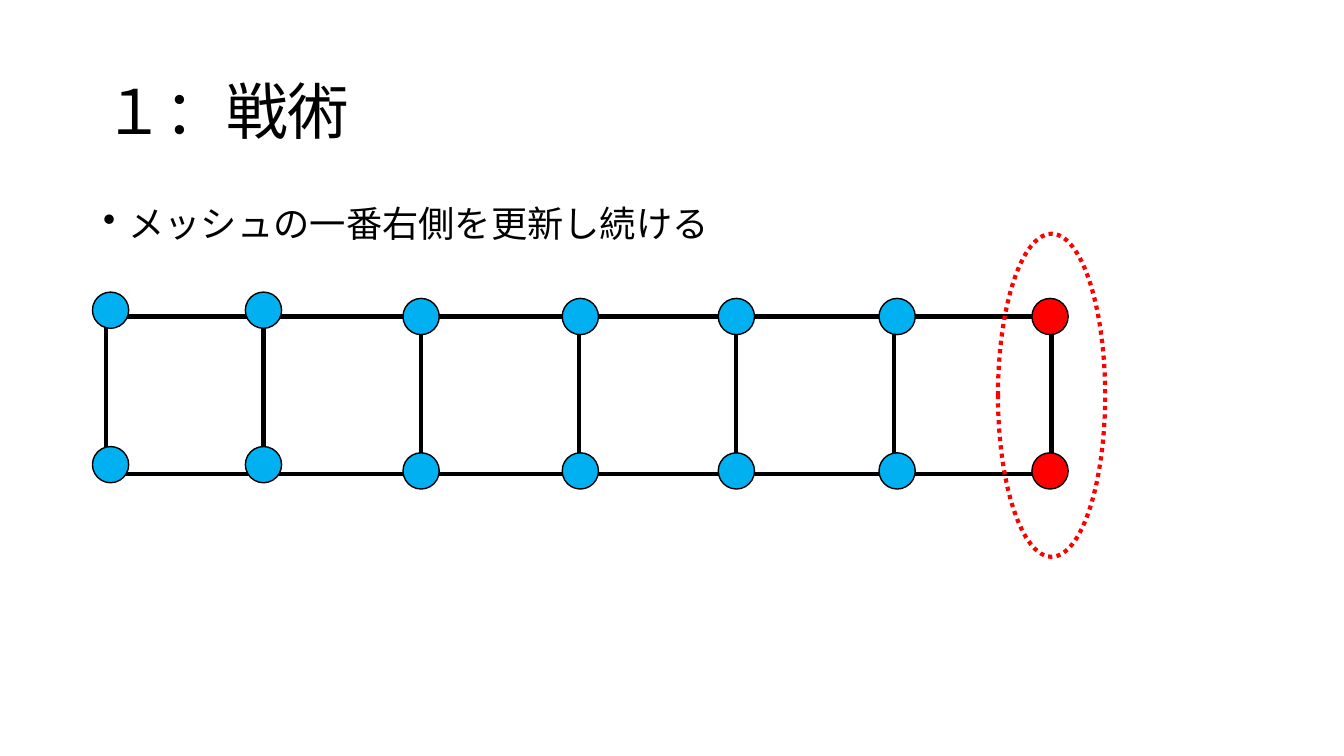
from dataclasses import dataclass

from lxml.etree import SubElement
from pptx import Presentation
from pptx.dml.color import RGBColor
from pptx.enum.dml import MSO_LINE
from pptx.enum.shapes import MSO_SHAPE
from pptx.enum.text import MSO_ANCHOR, PP_ALIGN
from pptx.oxml.ns import qn
from pptx.util import Inches, Pt


@dataclass(frozen=True)
class Theme:
    font: str = "Cabin"
    ink: str = "000000"
    paper: str = "FFFFFF"
    node: str = "00B0F0"
    updated: str = "FF0000"
    title_size: float = 44
    body_size: float = 25.9
    thick: float = 3
    thin: float = 1


class MeshSlide:
    """Draws on a slide whose grid unit is one cell of the mesh."""

    cell = 9.38 / 6
    left, top = 1.05, 3.14

    def __init__(self, slide, theme):
        self.shapes = slide.shapes
        self.theme = theme

    def box(self, column, row, columns, rows):
        return (Inches(self.left + column * self.cell),
                Inches(self.top + row * self.cell),
                Inches(columns * self.cell), Inches(rows * self.cell))

    def text(self, place, words, size, anchor=MSO_ANCHOR.TOP, bullet=None):
        frame = self.shapes.add_textbox(*self.box(*place)).text_frame
        frame.word_wrap = True
        frame.vertical_anchor = anchor
        line = frame.paragraphs[0]
        line.text = words
        line.alignment = PP_ALIGN.LEFT
        line.line_spacing = 0.9
        line.font.name = self.theme.font
        line.font.size = Pt(size)
        line.font.color.rgb = RGBColor.from_string(self.theme.ink)
        if bullet:
            line.space_before = Pt(10)
            properties = line.font._element.getparent()
            properties.set("marL", str(Inches(0.25)))
            properties.set("indent", str(-Inches(0.25)))
            mark = SubElement(properties, qn("a:buChar"), char=bullet)
            line.font._element.addprevious(mark)

    def outline(self, kind, place, fill, color, width, dash=None):
        shape = self.shapes.add_shape(kind, *self.box(*place))
        shape.shadow.inherit = False
        if fill:
            shape.fill.solid()
            shape.fill.fore_color.rgb = RGBColor.from_string(fill)
        else:
            shape.fill.background()
        shape.line.color.rgb = RGBColor.from_string(color)
        shape.line.width = Pt(width)
        if dash:
            shape.line.dash_style = dash

    def square(self, column):
        self.outline(MSO_SHAPE.RECTANGLE, (column, 0, 1, 1),
                     self.theme.paper, self.theme.ink, self.theme.thick)

    def node(self, column, row, fill):
        size = 0.23
        place = (column - size / 2, row - size / 2, size, size)
        self.outline(MSO_SHAPE.OVAL, place, fill, self.theme.ink, self.theme.thin)

    def highlight(self, column, row, columns, rows):
        place = (column - columns / 2, row - rows / 2, columns, rows)
        self.outline(MSO_SHAPE.OVAL, place, None, self.theme.updated,
                     self.theme.thick, MSO_LINE.ROUND_DOT)


def main():
    deck = Presentation()
    deck.slide_width, deck.slide_height = Inches(13.33), Inches(7.5)
    theme = Theme()
    mesh = MeshSlide(deck.slides.add_slide(deck.slide_layouts[6]), theme)

    mesh.text((-0.08, -1.75, 7.36, 0.93), "１：戦術",
              theme.title_size, MSO_ANCHOR.MIDDLE)
    mesh.text((-0.08, -0.73, 4.25, 0.46), "メッシュの一番右側を更新し続ける",
              theme.body_size, bullet="•")

    for column in range(6):
        mesh.square(column)

    node_columns = (0.03, 1, 2, 3.01, 4, 5.02, 5.99)
    for index, column in enumerate(node_columns):
        upper = -0.04 if index < 2 else 0
        fill = theme.updated if column == node_columns[-1] else theme.node
        for row in (upper, upper + 0.98):
            mesh.node(column, row, fill)

    mesh.highlight(6, 0.5, 0.68, 2.05)
    deck.save("out.pptx")


if __name__ == "__main__":
    main()
